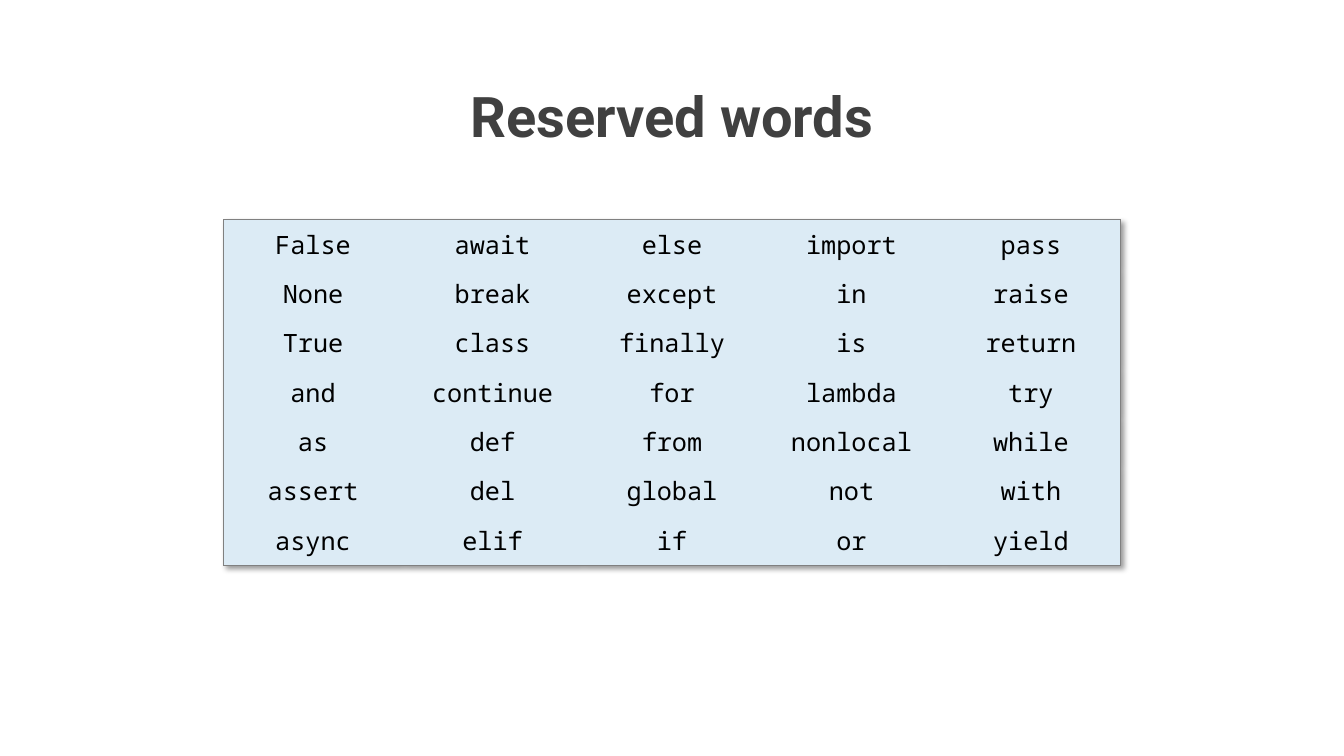
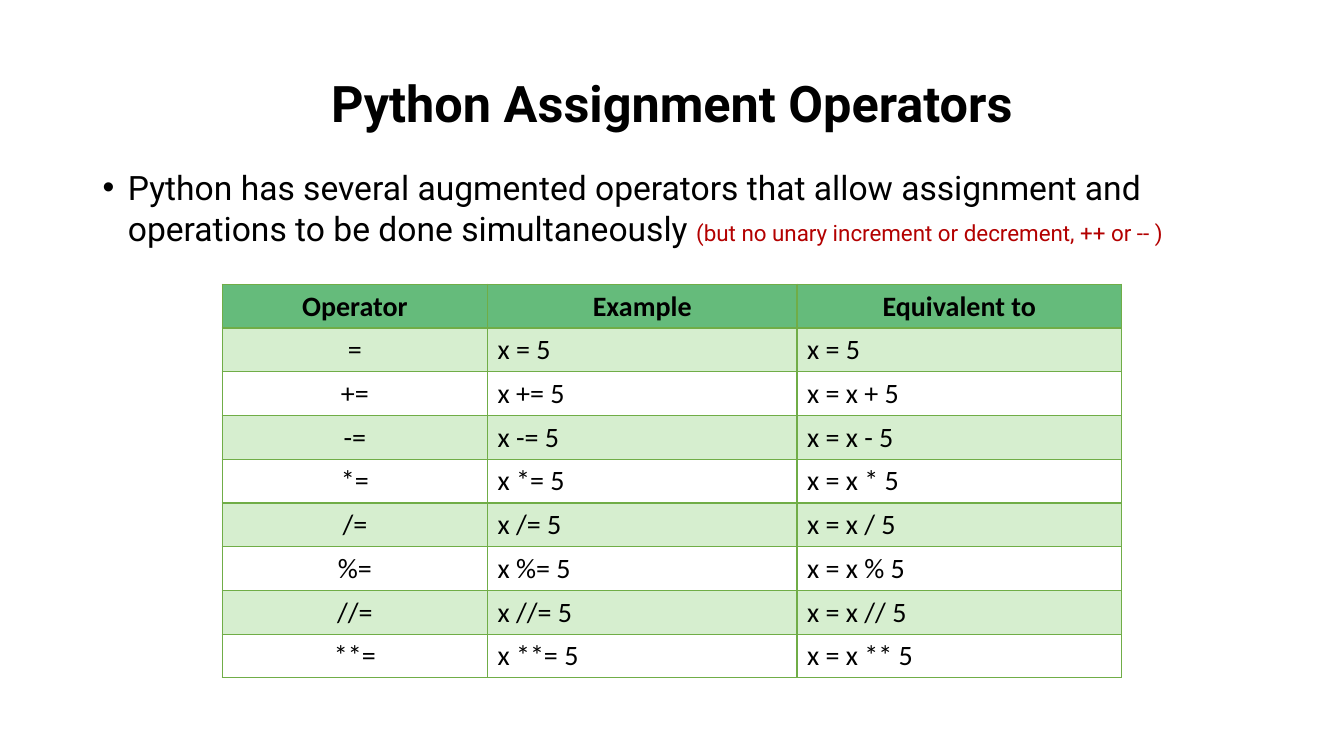
"""Build two slides on Python reserved words and assignment operators."""
from lxml.etree import SubElement
from pptx import Presentation
from pptx.dml.color import RGBColor
from pptx.enum.text import MSO_ANCHOR, PP_ALIGN
from pptx.oxml import parse_xml
from pptx.oxml.ns import nsdecls, qn
from pptx.util import Emu, Inches, Pt

COLORS = {
    "black": "000000", "dark": "404040", "red": "B30000", "white": "FFFFFF",
    "sky": "DCEBF5", "gray": "808080",
    "header": "65BB7B", "band": "D6EECF", "green": "70AD47",
}
NO_STYLE = "{2D5ABB26-0587-4C30-8999-92F81FD0307C}"
SHADOW = (
    f'<a:effectLst {nsdecls("a")}><a:outerShdw blurRad="50800" dist="38100" dir="2700000" '
    'algn="tl" rotWithShape="0"><a:srgbClr val="000000"><a:alpha val="40000"/></a:srgbClr>'
    "</a:outerShdw></a:effectLst>"
)


def write(tf, text, size=20, font="Roboto", color="black", bold=False,
          align=PP_ALIGN.LEFT, spacing=None):
    """Append a formatted run to the frame's paragraph and return the paragraph."""
    p = tf.paragraphs[0]
    p.alignment = align
    if spacing:
        p.line_spacing = spacing
    r = p.add_run()
    r.text = text
    r.font.size = Pt(size)
    r.font.name = font
    r.font.bold = bold
    r.font.color.rgb = RGBColor.from_string(COLORS[color])
    return p


def add_grid(s, rows, top, widths, height, line, weight, fills, inner, formats):
    """Add a centred table; fills and formats are functions of row and column."""
    left = (prs.slide_width - Inches(sum(widths))) // 2
    sp = s.shapes.add_table(len(rows), len(widths), left, Inches(top),
                            Inches(sum(widths)), Inches(height * len(rows)))
    tbl = sp.table
    tbl.first_row = tbl.horz_banding = False
    next(sp.element.iter(qn("a:tableStyleId"))).text = NO_STYLE
    for col, width in zip(tbl.columns, widths):
        col.width = Inches(width)
    for i, row in enumerate(rows):
        tbl.rows[i].height = Inches(height)
        for j, text in enumerate(row):
            cell = tbl.cell(i, j)
            cell.fill.solid()
            cell.fill.fore_color.rgb = RGBColor.from_string(COLORS[fills(i)])
            write(cell.text_frame, text, **formats(i, j))
            edges = {"L": j == 0, "R": j == len(widths) - 1,
                     "T": i == 0, "B": i == len(rows) - 1}
            sides = [side for side, outer in edges.items() if inner or outer]
            for k, side in enumerate(sides):
                cell._tc.get_or_add_tcPr().insert(k, parse_xml(
                    f'<a:ln{side} {nsdecls("a")} w="{Pt(weight)}"><a:solidFill>'
                    f'<a:srgbClr val="{COLORS[line]}"/></a:solidFill></a:ln{side}>'))
    return sp


prs = Presentation()
prs.slide_width, prs.slide_height = Inches(13.33), Inches(7.5)
margin = Inches(0.92)
body_width = Emu(prs.slide_width - 2 * margin)

titles = [
    ("Reserved words", 0.94, 0.49, 40, "dark"),
    ("Python Assignment Operators", 0.33, 1.45, 36, "black"),
]
slides = []
for text, top, height, size, color in titles:
    s = prs.slides.add_slide(prs.slide_layouts[6])
    tf = s.shapes.add_textbox(margin, Inches(top), body_width, Inches(height)).text_frame
    tf.word_wrap = True
    tf.vertical_anchor = MSO_ANCHOR.MIDDLE
    write(tf, text, size=size, color=color, bold=True, align=PP_ALIGN.CENTER, spacing=0.9)
    slides.append(s)
words_slide, operators_slide = slides

words = """
False await else import pass
None break except in raise
True class finally is return
and continue for lambda try
as def from nonlocal while
assert del global not with
async elif if or yield
"""
sp = add_grid(
    words_slide, [row.split() for row in words.strip().splitlines()],
    top=2.18, widths=[1.78] * 5, height=0.49, line="gray", weight=0.5, inner=False,
    fills=lambda i: "sky",
    formats=lambda i, j: {"size": 18, "font": "Noto Sans Mono", "align": PP_ALIGN.CENTER})
next(sp.element.iter(qn("a:tblPr"))).insert(0, parse_xml(SHADOW))
for cell in sp.table.iter_cells():
    cell.vertical_anchor = MSO_ANCHOR.MIDDLE

tf = operators_slide.shapes.add_textbox(margin, Inches(1.61), body_width, Inches(1)).text_frame
tf.word_wrap = True
p = write(tf, "Python has several augmented operators that allow assignment and "
          "operations to be done simultaneously ", size=24)
write(tf, "(but no unary increment or decrement, ++ or -- )", size=16, color="red")
p.space_before = Pt(10)
pPr = p._p.get_or_add_pPr()
pPr.set("marL", str(Inches(0.25)))
pPr.set("indent", str(-Inches(0.25)))
SubElement(pPr, qn("a:buFont"), typeface="Arial")
SubElement(pPr, qn("a:buChar"), char="•")

rows = [("Operator", "Example", "Equivalent to"), ("=", "x = 5", "x = 5")]
rows += [(f"{op}=", f"x {op}= 5", f"x = x {op} 5") for op in "+ - * / % // **".split()]
add_grid(
    operators_slide, rows,
    top=2.82, widths=[2.63, 3.07, 3.22], height=0.43, line="green", weight=1, inner=True,
    fills=lambda i: "header" if i == 0 else "band" if i % 2 else "white",
    formats=lambda i, j: {"font": "Calibri", "bold": i == 0,
                          "align": PP_ALIGN.LEFT if i and j else PP_ALIGN.CENTER})

prs.save("out.pptx")
